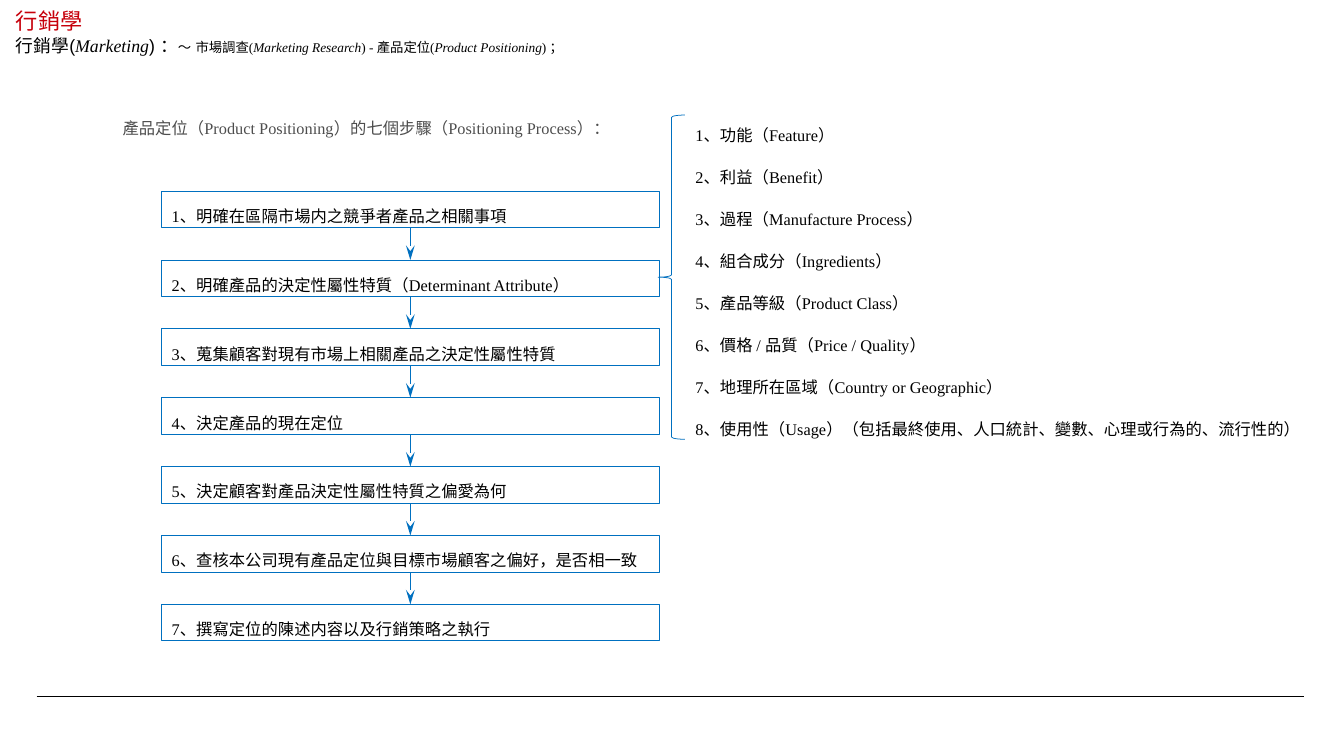
from lxml import etree
from pptx import Presentation
from pptx.dml.color import RGBColor
from pptx.enum.shapes import MSO_CONNECTOR, MSO_SHAPE
from pptx.enum.text import MSO_ANCHOR, MSO_AUTO_SIZE, PP_ALIGN
from pptx.oxml.ns import qn
from pptx.util import Cm, Pt

# Content
TITLE = "行銷學"
LATIN, SERIF = "Arial", "Times New Roman"
SUBTITLE = [  # text, size, font, italic
    ("行銷學(", 12, LATIN, False),
    ("Marketing", 12, SERIF, True),
    (") ：", 12, LATIN, False),
    ("～", 9, LATIN, False),
    (" ", 13, LATIN, False),
    ("市場調查(", 9, SERIF, False),
    ("Marketing Research", 9, SERIF, True),
    (") - 產品定位(", 9, SERIF, False),
    ("Product Positioning", 9, SERIF, True),
    (") ；", 9, SERIF, False),
]
INTRO = "產品定位（Product Positioning）的七個步驟（Positioning Process）："
STEPS = [
    "1、明確在區隔市場内之競爭者產品之相關事項",
    "2、明確產品的決定性屬性特質（Determinant Attribute）",
    "3、蒐集顧客對現有市場上相關產品之決定性屬性特質",
    "4、決定產品的現在定位",
    "5、決定顧客對產品決定性屬性特質之偏愛為何",
    "6、查核本公司現有產品定位與目標市場顧客之偏好，是否相一致",
    "7、撰寫定位的陳述内容以及行銷策略之執行",
]
ATTRIBUTES = [
    "1、功能（Feature）",
    "2、利益（Benefit）",
    "3、過程（Manufacture Process）",
    "4、組合成分（Ingredients）",
    "5、產品等級（Product Class）",
    "6、價格 / 品質（Price / Quality）",
    "7、地理所在區域（Country or Geographic）",
    "8、使用性（Usage）（包括最終使用、人口統計、變數、心理或行為的、流行性的）",
]
COLORS = {"title": "C7000B", "text": "000000", "intro": "4D4D4D", "frame": "0070C0"}

# Layout in centimetres
LINE_HEIGHT = 0.87
STEP_LEFT, STEP_TOP, STEP_WIDTH, STEP_PITCH = 3.84, 4.55, 11.86, 1.64
ATTRIBUTE_LEFT, ATTRIBUTE_TOP, ATTRIBUTE_PITCH = 16.31, 2.63, 1.0

deck = Presentation()
deck.slide_width, deck.slide_height = Cm(32), Cm(18)
slide = deck.slides.add_slide(deck.slide_layouts[6])


def color(name):
    return RGBColor.from_string(COLORS[name])


def textbox(left, top, width, height):
    box = slide.shapes.add_textbox(Cm(left), Cm(top), Cm(width), Cm(height))
    box.text_frame.word_wrap = True
    return box


def write(shape, text, color_name="text", size=11, font=SERIF, spacing=1.5):
    frame = shape.text_frame
    frame.word_wrap = True
    frame.vertical_anchor = MSO_ANCHOR.TOP
    frame.auto_size = MSO_AUTO_SIZE.SHAPE_TO_FIT_TEXT
    line = frame.paragraphs[0]
    line.text = text
    line.alignment = PP_ALIGN.LEFT
    line.line_spacing = spacing
    line.font.size, line.font.name = Pt(size), font
    line.font.color.rgb = color(color_name)


def outline(kind, left, top, width, height):
    shape = slide.shapes.add_shape(kind, Cm(left), Cm(top), Cm(width), Cm(height))
    shape.shadow.inherit = False
    shape.fill.background()
    shape.line.color.rgb = color("frame")
    shape.line.width = Pt(0.5)
    return shape


def connect(x1, y1, x2, y2, color_name, width, arrow=False):
    link = slide.shapes.add_connector(
        MSO_CONNECTOR.STRAIGHT, Cm(x1), Cm(y1), Cm(x2), Cm(y2))
    link.line.color.rgb = color(color_name)
    link.line.width = Pt(width)
    if arrow:
        etree.SubElement(link.line._get_or_add_ln(), qn("a:tailEnd"),
                         type="stealth", w="med", len="lg")
    etree.SubElement(link._element.spPr, qn("a:effectLst"))


# Footer rule
connect(0.87, 16.57, 31.04, 16.57, "text", 0.5)

# Heading
heading = textbox(0.13, 0.17, 23.67, 0.62)
write(heading, TITLE, "title", 15, LATIN, 1.0)
heading.text_frame.auto_size = MSO_AUTO_SIZE.NONE
heading.text_frame.vertical_anchor = MSO_ANCHOR.MIDDLE

subtitle = textbox(0.13, 0.67, 26.5, 0.8).text_frame.paragraphs[0]
subtitle.font.color.rgb = color("text")
for text, size, font, italic in SUBTITLE:
    part = subtitle.add_run()
    part.text = text
    part.font.size, part.font.name, part.font.italic = Pt(size), font, italic
    part.font.color.rgb = color("text")

# Seven steps with arrows between them
write(textbox(2.67, 2.46, 12.19, LINE_HEIGHT), INTRO, "intro")
middle = STEP_LEFT + STEP_WIDTH / 2
for index, step in enumerate(STEPS):
    top = STEP_TOP + index * STEP_PITCH
    write(outline(MSO_SHAPE.RECTANGLE, STEP_LEFT, top, STEP_WIDTH, LINE_HEIGHT), step)
    if index:
        connect(middle, top - STEP_PITCH + LINE_HEIGHT, middle, top, "frame", 0.75, True)

# Attributes of the second step
outline(MSO_SHAPE.LEFT_BRACE, 15.67, 2.74, 0.64, 7.72)
for index, attribute in enumerate(ATTRIBUTES):
    top = ATTRIBUTE_TOP + index * ATTRIBUTE_PITCH
    write(textbox(ATTRIBUTE_LEFT, top, 14.99, LINE_HEIGHT), attribute)

deck.save("out.pptx")
